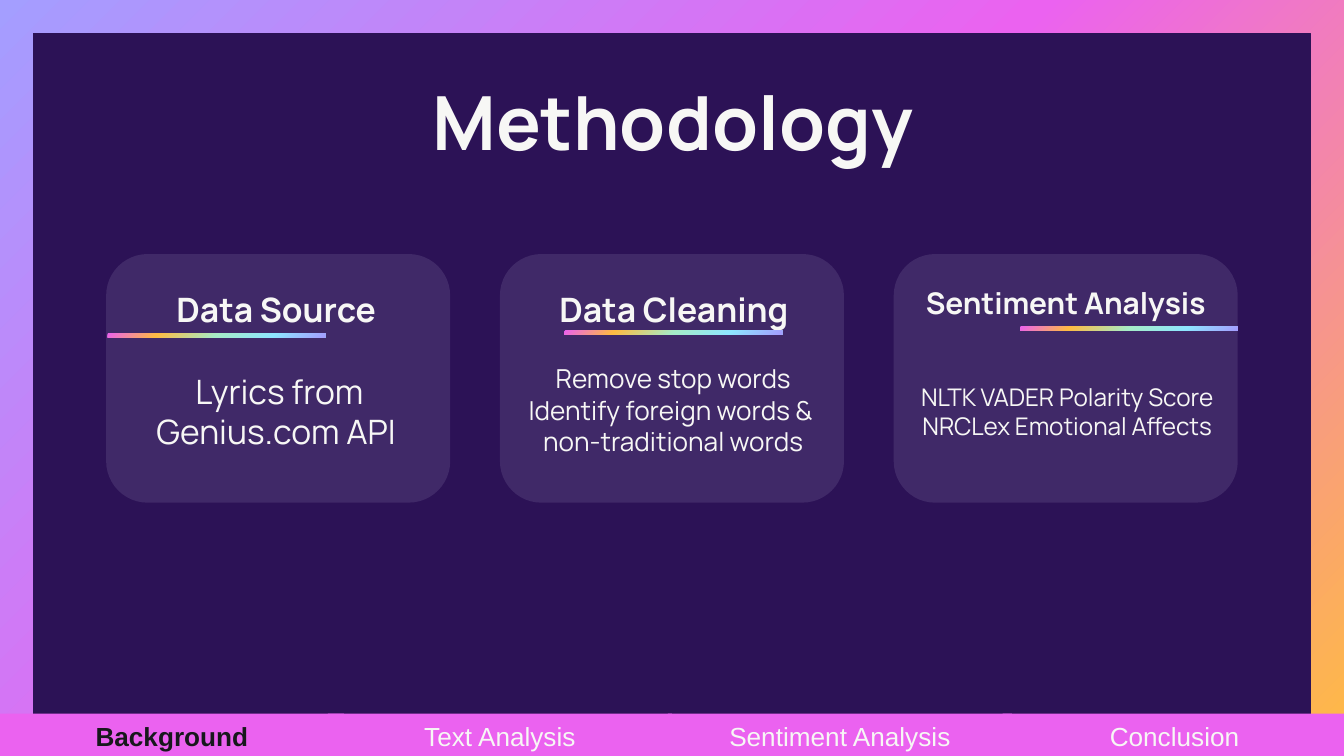
from dataclasses import dataclass

from lxml import etree
from pptx import Presentation
from pptx import util as u
from pptx.dml.color import RGBColor
from pptx.enum import shapes, text
from pptx.oxml.ns import qn


@dataclass(frozen=True)
class Theme:
    panel: str = "2C1256"
    card: str = "402968"
    nav: str = "EB62F0"
    light: str = "F7F7F5"
    dark: str = "17181C"
    back: tuple = ((0, "A49EFF"), (50, "EB62F0"), (100, "FFBB43"))
    bar: tuple = ((0, "EB62F0"), (23, "FFBB43"), (50, "A7ECC8"),
                  (76, "8EE6FF"), (100, "A49EFF"))
    font: str = "Manrope"
    menu: str = "Arial"
    title: int = 40
    large: int = 18
    mid: int = 16
    body: int = 14
    small: int = 13


T = Theme()
WIDE = 10
HIGH = WIDE * 9 / 16
CARD_W, CARD_H, CARD_TOP = 2.56, 1.85, 1.89
BAR_W, BAR_H = 1.62, 0.03


def blend(owner, fill, stops):
    fill.gradient()
    fill.gradient_angle = 315
    items = next(owner.element.iter(qn("a:gsLst")))
    for old in list(items):
        items.remove(old)
    for pos, color in stops:
        stop = etree.SubElement(items, qn("a:gs"), pos=str(pos * 1000))
        etree.SubElement(stop, qn("a:srgbClr"), val=color)


def add_box(slide, area, color=None, round_=False):
    kind = shapes.MSO_SHAPE.ROUNDED_RECTANGLE if round_ else shapes.MSO_SHAPE.RECTANGLE
    box = slide.shapes.add_shape(kind, *map(u.Inches, area))
    box.shadow.inherit = False
    box.line.fill.background()
    if color:
        box.fill.solid()
        box.fill.fore_color.rgb = RGBColor.from_string(color)
    return box


def write(frame, lines, size, font=T.font, color=T.light, bold=False):
    frame.word_wrap = True
    frame.vertical_anchor = text.MSO_ANCHOR.MIDDLE
    for i, line in enumerate(lines):
        para = frame.add_paragraph() if i else frame.paragraphs[0]
        para.alignment = text.PP_ALIGN.CENTER
        run = para.add_run()
        run.text = line
        run.font.name = font
        run.font.size = u.Pt(size)
        run.font.bold = bold
        run.font.color.rgb = RGBColor.from_string(color)


def add_text(slide, area, lines, size, bold=False):
    frame = slide.shapes.add_textbox(*map(u.Inches, area)).text_frame
    frame.margin_left = frame.margin_right = u.Inches(0.1)
    frame.margin_top = frame.margin_bottom = u.Inches(0.1)
    write(frame, lines, size, bold=bold)


def add_card(slide, left, head, note, bar):
    add_box(slide, (left, CARD_TOP, CARD_W, CARD_H), T.card, True)
    name, head_x, head_w, head_h, head_size = head
    add_text(slide, (head_x, 2.05, head_w, head_h), [name], head_size, True)
    strip = add_box(slide, (*bar, BAR_W, BAR_H))
    blend(strip, strip.fill, T.bar)
    lines, size, top = note
    add_text(slide, (left + 0.01, top, CARD_W, 1.18), lines, size)


def add_menu(slide, names, active):
    for left, name in zip((0, 2.44, 4.97, 7.46), names):
        tab = add_box(slide, (left, 5.31, CARD_W, 0.34), T.nav)
        on = name == active
        write(tab.text_frame, [name], T.body, T.menu, T.dark if on else T.light, on)


def main():
    deck = Presentation()
    deck.slide_width, deck.slide_height = u.Inches(WIDE), u.Inches(HIGH)
    slide = deck.slides.add_slide(deck.slide_layouts[6])
    blend(slide, slide.background.fill, T.back)

    panel = add_box(slide, (0.25, 0.25, 9.5, 5.12), T.panel)
    panel.line.color.rgb = RGBColor.from_string(T.panel)
    panel.line.width = u.Pt(0.75)
    add_text(slide, (0.79, 0.59, 8.43, 0.62), ["Methodology"], T.title, True)

    add_menu(slide, ("Background", "Text Analysis", "Sentiment Analysis", "Conclusion"),
             "Background")

    cards = (
        (0.79, ("Data Source", 0.93, 2.25, 0.5, T.large),
         (["Lyrics from Genius.com API "], T.large, 2.47), (0.8, 2.48)),
        (3.72, ("Data Cleaning", 3.98, 2.07, 0.5, T.large),
         (["Remove stop words", "Identify foreign words & ", "non-traditional words"],
          T.body, 2.46), (4.2, 2.46)),
        (6.65, ("Sentiment Analysis", 6.65, 2.56, 0.4, T.mid),
         (["NLTK VADER Polarity Score", "NRCLex Emotional Affects"], T.small, 2.47),
         (7.59, 2.43)),
    )
    for card in cards:
        add_card(slide, *card)
    deck.save("out.pptx")


if __name__ == "__main__":
    main()
